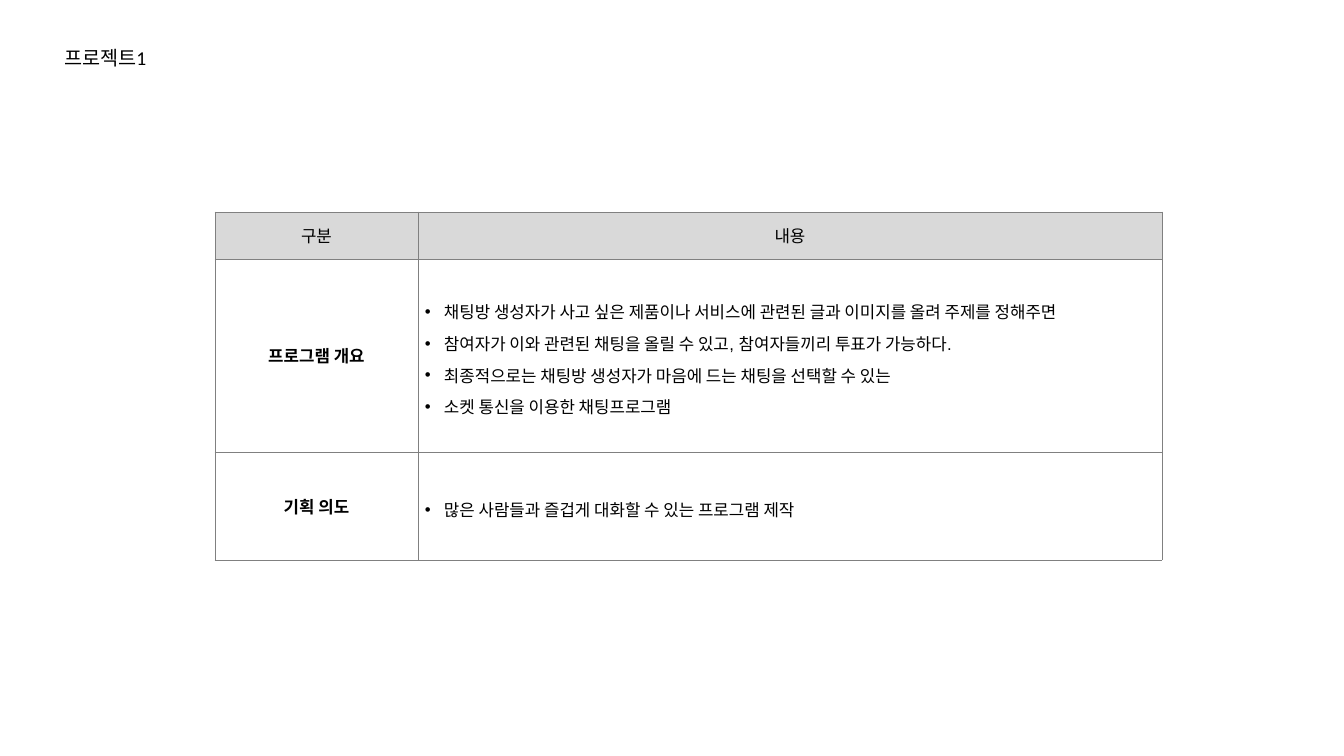
from lxml.etree import SubElement
from pptx import Presentation
from pptx.dml.color import RGBColor
from pptx.enum.text import MSO_ANCHOR, MSO_AUTO_SIZE, PP_ALIGN
from pptx.oxml import parse_xml
from pptx.oxml.ns import nsdecls, qn
from pptx.util import Pt

PROJECT = "프로젝트1"
HEADINGS = ("구분", "내용")
SECTIONS = [
    ("프로그램 개요", [
        "채팅방 생성자가 사고 싶은 제품이나 서비스에 관련된 글과 이미지를 올려 주제를 정해주면",
        "참여자가 이와 관련된 채팅을 올릴 수 있고, 참여자들끼리 투표가 가능하다.",
        "최종적으로는 채팅방 생성자가 마음에 드는 채팅을 선택할 수 있는",
        "소켓 통신을 이용한 채팅프로그램",
    ]),
    ("기획 의도", ["많은 사람들과 즐겁게 대화할 수 있는 프로그램 제작"]),
]

BLACK = RGBColor(0x00, 0x00, 0x00)
WHITE = RGBColor(0xFF, 0xFF, 0xFF)
HEADING_GREY = RGBColor(0xD9, 0xD9, 0xD9)
BORDER_GREY = RGBColor(0x80, 0x80, 0x80)

SLIDE_SIZE = (1344, 756)
TITLE_BOX = (54, 0, 1008, 75)
TABLE_LEFT, TABLE_TOP = 215, 212
COLUMN_WIDTHS = (203, 744)
ROW_HEIGHTS = (47, 193, 108)
MARGIN_X, MARGIN_Y = 7, 4
BULLET_INDENT = 19


def px(length):
    return round(length * 914400 / 100.8)


def style(paragraph, font_name, size, bold=False):
    font = paragraph.font
    font.name = font_name
    font.size = Pt(size)
    font.bold = bold
    font.color.rgb = BLACK


def add_bullet(paragraph):
    properties = paragraph._p.get_or_add_pPr()
    properties.set("marL", str(px(BULLET_INDENT)))
    properties.set("indent", str(-px(BULLET_INDENT)))
    SubElement(properties, qn("a:buFont"), typeface="Arial")
    SubElement(properties, qn("a:buChar"), char="•")


def add_borders(cell):
    properties = cell._tc.get_or_add_tcPr()
    for side in ("lnL", "lnR", "lnT", "lnB"):
        properties.append(parse_xml(
            f'<a:{side} {nsdecls("a")} w="{Pt(0.5)}"><a:solidFill>'
            f'<a:srgbClr val="{BORDER_GREY}"/></a:solidFill></a:{side}>'))


def fill_cell(cell, lines, bold=False, bulleted=False, background=WHITE):
    add_borders(cell)
    cell.fill.solid()
    cell.fill.fore_color.rgb = background
    cell.vertical_anchor = MSO_ANCHOR.MIDDLE
    cell.margin_left = cell.margin_right = px(MARGIN_X)
    cell.margin_top = cell.margin_bottom = px(MARGIN_Y)
    cell.text = "\n".join(lines)
    for paragraph in cell.text_frame.paragraphs:
        if bulleted:
            add_bullet(paragraph)
            paragraph.line_spacing = 1.3
        paragraph.alignment = PP_ALIGN.JUSTIFY if bulleted else PP_ALIGN.CENTER
        style(paragraph, "Arial", 12, bold)


def add_title(slide):
    title = slide.shapes.title
    title.left, title.top, title.width, title.height = map(px, TITLE_BOX)
    frame = title.text_frame
    frame.text = PROJECT
    frame.auto_size = MSO_AUTO_SIZE.NONE
    frame.vertical_anchor = MSO_ANCHOR.BOTTOM
    heading = frame.paragraphs[0]
    heading.alignment = PP_ALIGN.LEFT
    heading.line_spacing = 0.9
    style(heading, "Calibri", 14)


def add_overview(slide):
    overview = slide.shapes.add_table(
        len(ROW_HEIGHTS), len(COLUMN_WIDTHS), px(TABLE_LEFT), px(TABLE_TOP),
        px(sum(COLUMN_WIDTHS)), px(sum(ROW_HEIGHTS))).table
    overview.first_row = overview.horz_banding = False
    for column, width in zip(overview.columns, COLUMN_WIDTHS):
        column.width = px(width)
    for row, height in zip(overview.rows, ROW_HEIGHTS):
        row.height = px(height)
    for index, heading in enumerate(HEADINGS):
        fill_cell(overview.cell(0, index), [heading], background=HEADING_GREY)
    for index, (label, points) in enumerate(SECTIONS, 1):
        fill_cell(overview.cell(index, 0), [label], bold=True)
        fill_cell(overview.cell(index, 1), points, bulleted=True)


def main():
    deck = Presentation()
    deck.slide_width, deck.slide_height = map(px, SLIDE_SIZE)
    slide = deck.slides.add_slide(deck.slide_layouts[5])
    add_title(slide)
    add_overview(slide)
    deck.save("out.pptx")


if __name__ == "__main__":
    main()
